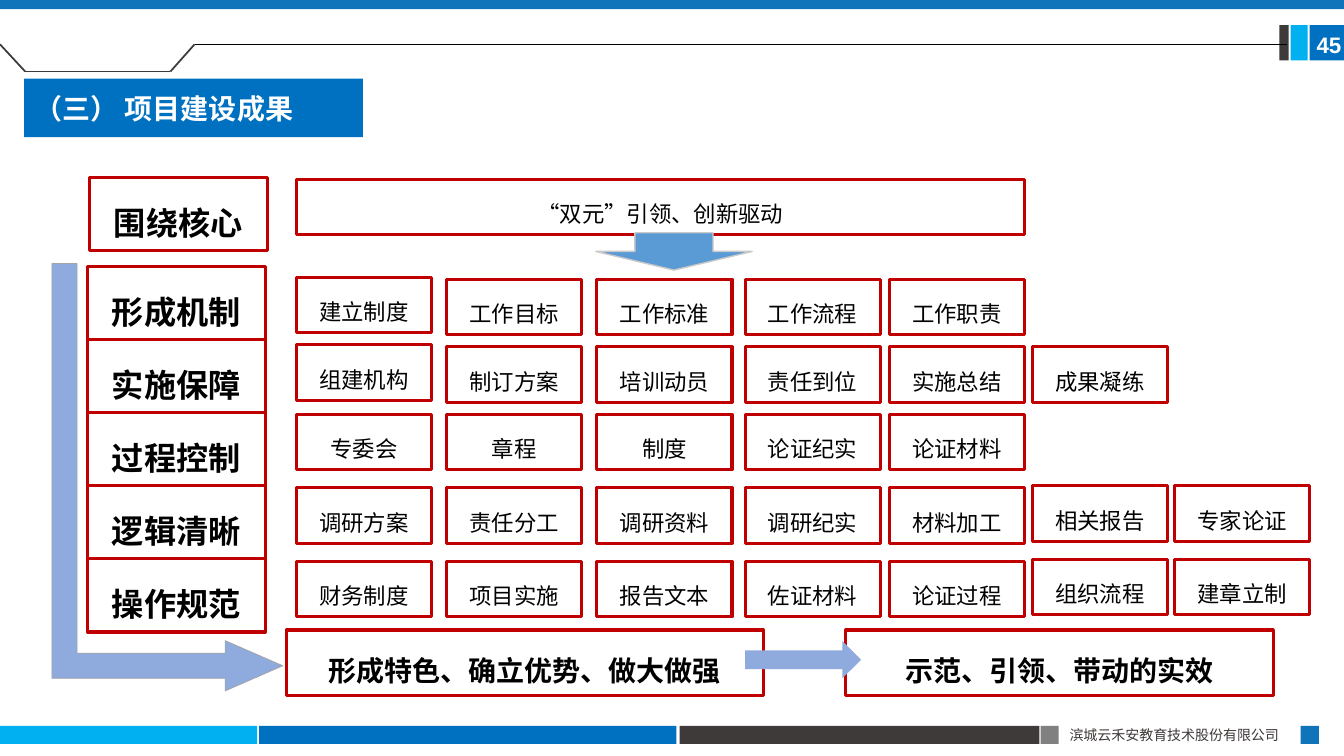
from lxml import etree
from pptx import Presentation
from pptx import util as u
from pptx.dml.color import RGBColor
from pptx.enum import shapes, text
from pptx.oxml.ns import qn

CJK = "Noto Sans CJK SC"
SHAPE = shapes.MSO_SHAPE
ALIGN = text.PP_ALIGN
ANCHOR = text.MSO_ANCHOR
BLUE, CYAN, TOP_BLUE, DARK, RED = "0070C0", "00B0F0", "1074BB", "3E3A39", "C00000"

ROWS_TOP = [2.77, 3.44, 4.11, 4.84, 5.57]
COLUMNS_LEFT = [2.94, 4.43, 5.92, 7.39, 8.82, 10.24, 11.65]
# Row label, cell texts, columns that sit slightly higher
ROWS = [
    ("形成机制", ["建立制度", "工作目标", "工作标准", "工作流程", "工作职责"], [0]),
    ("实施保障", ["组建机构", "制订方案", "培训动员", "责任到位", "实施总结", "成果凝练"], [0]),
    ("过程控制", ["专委会", "章程", "制度", "论证纪实", "论证材料"], []),
    ("逻辑清晰", ["调研方案", "责任分工", "调研资料", "调研纪实", "材料加工", "相关报告", "专家论证"], [5, 6]),
    ("操作规范", ["财务制度", "项目实施", "报告文本", "佐证材料", "论证过程", "组织流程", "建章立制"], [5, 6]),
]


def rgb(color):
    return RGBColor.from_string(color)


def inches(*lengths):
    return [u.Inches(n) for n in lengths]


def add_run(p, words, size, color, bold=False, font=CJK):
    r = p.add_run()
    r.text = words
    r.font.size = u.Pt(size)
    r.font.bold = bold
    r.font.name = font
    r.font.color.rgb = rgb(color)
    ea = etree.SubElement(r.font._element, qn("a:ea"))
    ea.set("typeface", CJK)


def add_block(s, box, fill=None, line=None, line_width=1, kind=SHAPE.RECTANGLE):
    sp = s.shapes.add_shape(kind, *inches(*box))
    sp.shadow.inherit = False
    if fill:
        sp.fill.solid()
        sp.fill.fore_color.rgb = rgb(fill)
    else:
        sp.fill.background()
    if line:
        sp.line.color.rgb = rgb(line)
        sp.line.width = u.Pt(line_width)
    else:
        sp.line.fill.background()
    return sp


def add_red_box(s, box, words, size, bold=False, anchor=ANCHOR.TOP):
    tf = add_block(s, box, line=RED, line_width=2.25).text_frame
    tf.word_wrap = True
    tf.auto_size = text.MSO_AUTO_SIZE.SHAPE_TO_FIT_TEXT
    tf.vertical_anchor = anchor
    tf.margin_left = tf.margin_right = u.Inches(0.15)
    tf.margin_top = tf.margin_bottom = u.Inches(0.07)
    p = tf.paragraphs[0]
    p.alignment = ALIGN.CENTER
    p.line_spacing = 1.5
    add_run(p, words, size, "000000", bold)


def add_line(s, start, end, color, width):
    cx = s.shapes.add_connector(shapes.MSO_CONNECTOR.STRAIGHT, *inches(*start, *end))
    cx.line.color.rgb = rgb(color)
    cx.line.width = u.Pt(width)
    etree.SubElement(cx._element.spPr, qn("a:effectLst"))


def add_header(s, left, top, width):
    add_block(s, (left, top, width, 0.09), TOP_BLUE)
    for x, w, color in [(12.99, 0.34, BLUE), (12.8, 0.17, CYAN), (12.69, 0.09, DARK)]:
        add_block(s, (left + x, top + 0.25, w, 0.35), color)
    tab = [(left + x, top + y) for x, y in [(0, 0.44), (0.25, 0.71), (1.69, 0.71), (1.93, 0.44)]]
    for start, end in zip(tab, tab[1:]):
        add_line(s, start, end, DARK, 1.25)
    add_line(s, tab[-1], (left + 12.76, top + 0.44), "000000", 0.5)
    tf = s.shapes.add_textbox(*inches(left + 12.96, top + 0.26, 0.37, 0.37)).text_frame
    tf.word_wrap = False
    tf.margin_right = 0
    add_run(tf.paragraphs[0], "45", 16, "FFFFFF", True, "Arial")


def add_footer(s, left, top):
    bars = [(0, 2.55, CYAN), (2.57, 4.14, BLUE), (6.74, 3.57, DARK),
            (10.32, 0.18, "808080"), (12.9, 0.18, TOP_BLUE)]
    for x, w, color in bars:
        add_block(s, (left + x, top, w, 0.18), color)
    tf = s.shapes.add_textbox(*inches(left + 10.51, top - 0.04, 2.4, 0.27)).text_frame
    tf.word_wrap = True
    p = tf.paragraphs[0]
    p.alignment = ALIGN.JUSTIFY
    add_run(p, "滨城云禾安教育技术股份有限公司", 10, DARK)


def set_title(s, box, words):
    sp = s.shapes.title
    sp.left, sp.top, sp.width, sp.height = inches(*box)
    sp.fill.solid()
    sp.fill.fore_color.rgb = rgb(BLUE)
    tf = sp.text_frame
    tf.vertical_anchor = ANCHOR.MIDDLE
    p = tf.paragraphs[0]
    p.alignment = ALIGN.LEFT
    add_run(p, words, 20, "FFFFFF", True, "Calibri")


def add_core(s, left, top):
    add_red_box(s, (left, top, 1.76, 0.73), "围绕核心", 23, True)
    add_red_box(s, (left + 2.05, top + 0.02, 7.22, 0.55), "“双元”引领、创新驱动", 16,
                anchor=ANCHOR.MIDDLE)


def add_grid(s, label_left, label_top):
    for i, (label, cells, raised) in enumerate(ROWS):
        add_red_box(s, (label_left, label_top + 0.725 * i, 1.76, 0.73), label, 23, True)
        for j, cell in enumerate(cells):
            y = ROWS_TOP[i] - (0.02 if j in raised else 0)
            add_red_box(s, (COLUMNS_LEFT[j], y, 1.34, 0.55), cell, 16, anchor=ANCHOR.MIDDLE)


def add_outcomes(s, left, top):
    add_red_box(s, (left, top, 4.73, 0.65), "形成特色、确立优势、做大做强", 20, True)
    add_red_box(s, (left + 5.55, top, 4.24, 0.65), "示范、引领、带动的实效", 20, True)
    add_block(s, (left + 4.55, top + 0.11, 1.15, 0.37), "8FAADC", kind=SHAPE.RIGHT_ARROW)


def add_flow_arrows(s):
    add_block(s, (5.91, 2.31, 1.55, 0.37), "5B9BD5", "C9C9C9", 1, SHAPE.DOWN_ARROW)
    bent = add_block(s, (-0.46, 3.59, 4.24, 2.29), "8FAADC", "A5A5A5", 0.5, SHAPE.BENT_UP_ARROW)
    bent.rotation = 90
    for i, value in enumerate([0.109, 0.109, 0.25]):
        bent.adjustments[i] = value


def main():
    prs = Presentation()
    prs.slide_width, prs.slide_height = inches(13.33, 7.5)
    s = prs.slides.add_slide(prs.slide_layouts[5])
    add_footer(s, 0, 7.2)
    add_header(s, 0, 0, 13.33)
    set_title(s, (0.24, 0.78, 3.36, 0.58), "（三） 项目建设成果")
    add_core(s, 0.89, 1.76)
    add_grid(s, 0.87, 2.64)
    add_outcomes(s, 2.84, 6.25)
    add_flow_arrows(s)
    prs.save("out.pptx")


if __name__ == "__main__":
    main()
